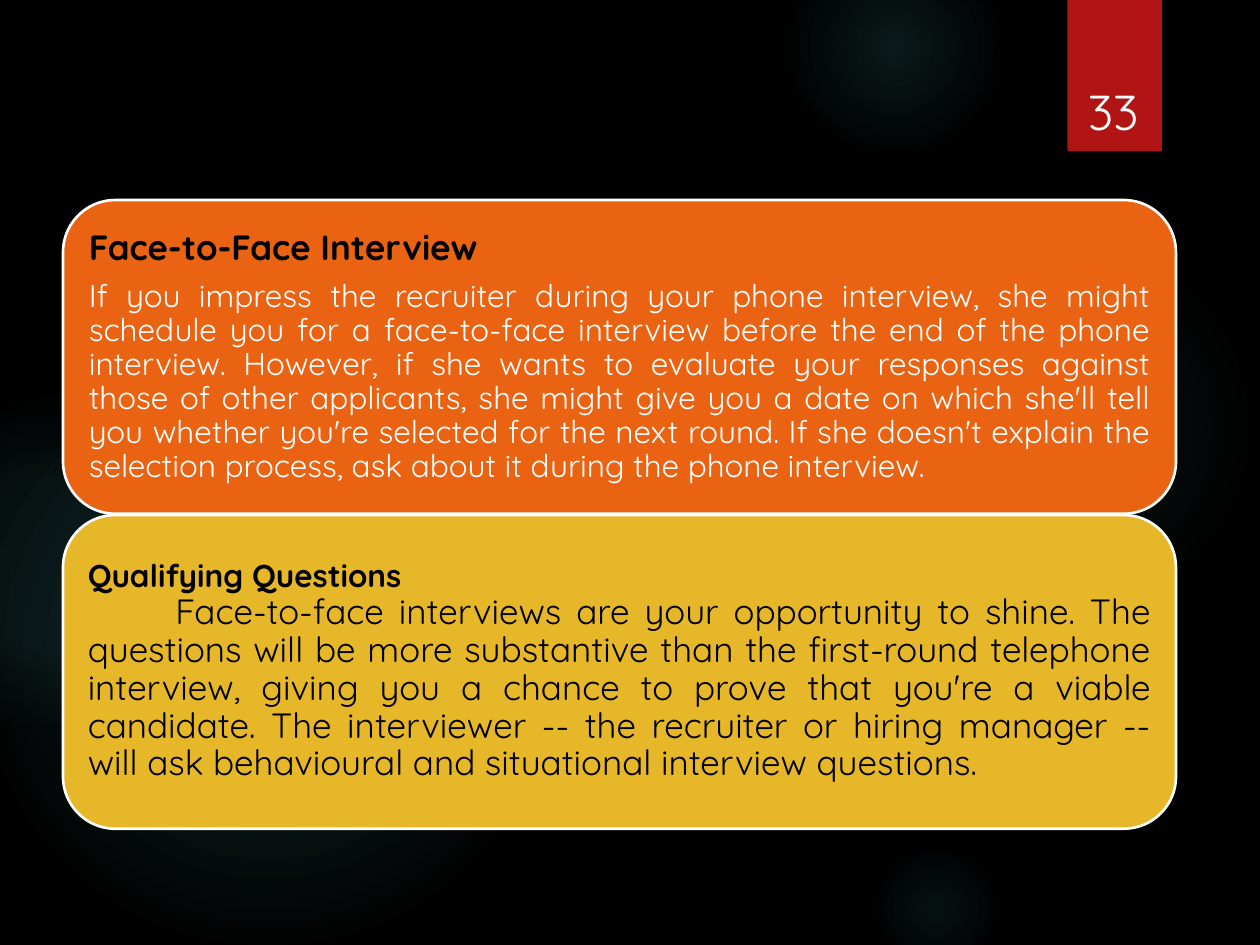
from lxml import etree
from pptx import Presentation
from pptx.dml.color import RGBColor
from pptx.enum.shapes import MSO_SHAPE
from pptx.enum.text import MSO_ANCHOR, PP_ALIGN
from pptx.oxml.ns import qn
from pptx.util import Pt

FONT = "Quicksand"
GLOW = "50B9C1"
GLOWS = [
    (496, 132, 222, [(0, 7), (36, 6), (69, 0)]),
    (448, -36, 126, [(0, 14), (36, 7), (73, 0)]),
    (496, 480, 78, [(0, 9), (36, 5), (66, 0)]),
    (-12, 210, 330, [(0, 11), (36, 10), (75, 0)]),
    (-66, 228, 186, [(0, 8), (36, 8), (72, 0)]),
]
FACE_TO_FACE = (
    "If you impress the recruiter during your phone interview, she might schedule you "
    "for a face-to-face interview before the end of the phone interview. However, if she "
    "wants to evaluate your responses against those of other applicants, she might give "
    "you a date on which she'll tell you whether you're selected for the next round. If "
    "she doesn't explain the selection process, ask about it during the phone interview."
)
QUALIFYING = (
    "Face-to-face interviews are your opportunity to shine. The questions will be more "
    "substantive than the first-round telephone interview, giving you a chance to prove "
    "that you're a viable candidate. The interviewer -- the recruiter or hiring manager -- "
    "will ask behavioural and situational interview questions."
)


def rgb(value):
    """Return the colour for a hex string."""
    return RGBColor.from_string(value)


def add_panel(slide, preset, left, top, width, height, fill=None, line=None):
    """Add a preset shape without a shadow."""
    panel = slide.shapes.add_shape(preset, Pt(left), Pt(top), Pt(width), Pt(height))
    panel.shadow.inherit = False
    if fill:
        panel.fill.solid()
        panel.fill.fore_color.rgb = rgb(fill)
    if line:
        panel.line.color.rgb = rgb(line)
        panel.line.width = Pt(1.5)
    else:
        panel.line.fill.background()
    return panel


def add_glow(slide, left, top, size, stops):
    """Add a circle that fades out from its centre."""
    glow = add_panel(slide, MSO_SHAPE.OVAL, left, top, size, size)
    gradient = etree.Element(qn("a:gradFill"), rotWithShape="1")
    stop_list = etree.SubElement(gradient, qn("a:gsLst"))
    for position, opacity in stops:
        stop = etree.SubElement(stop_list, qn("a:gs"), pos=str(position * 1000))
        colour = etree.SubElement(stop, qn("a:srgbClr"), val=GLOW)
        etree.SubElement(colour, qn("a:alpha"), val=str(opacity * 1000))
    radial = etree.SubElement(gradient, qn("a:path"), path="circle")
    centre = dict.fromkeys("ltrb", "50000")
    etree.SubElement(radial, qn("a:fillToRect"), **centre)
    glow._element.spPr.find(qn("a:prstGeom")).addnext(gradient)


def write(paragraph, text, size=18, color="FFFFFF", bold=False,
          align=PP_ALIGN.JUSTIFY, spacing=0.9, after=0, indent=0):
    """Fill a paragraph with formatted text."""
    if indent:
        paragraph._p.get_or_add_pPr().set("indent", str(Pt(indent)))
    paragraph.alignment = align
    paragraph.line_spacing = spacing
    paragraph.space_after = Pt(after)
    run = paragraph.add_run()
    run.text = text
    run.font.name = FONT
    run.font.size = Pt(size)
    run.font.bold = bold
    run.font.color.rgb = rgb(color)


def set_frame(frame, anchor, horizontal, vertical):
    """Set wrapping, anchor and margins of a text frame."""
    frame.word_wrap = True
    frame.vertical_anchor = anchor
    frame.margin_left = frame.margin_right = Pt(horizontal)
    frame.margin_top = frame.margin_bottom = Pt(vertical)


def add_card(slide, top, fill, margin, heading, body):
    """Add a rounded card with a heading and a body paragraph."""
    card = add_panel(slide, MSO_SHAPE.ROUNDED_RECTANGLE, 36, top, 636, 179.3, fill, "FFFFFF")
    frame = card.text_frame
    set_frame(frame, MSO_ANCHOR.MIDDLE, margin, margin)
    write(frame.paragraphs[0], color="000000", bold=True, align=PP_ALIGN.LEFT, **heading)
    write(frame.add_paragraph(), after=7, **body)


def add_page_number(slide, number):
    """Add the page number on its red ribbon."""
    add_panel(slide, MSO_SHAPE.RECTANGLE, 610, 0, 54, 86.4, "B01513")
    box = slide.shapes.add_textbox(Pt(611.3), Pt(23), Pt(49.7), Pt(60.5))
    set_frame(box.text_frame, MSO_ANCHOR.BOTTOM, 7.2, 3.6)
    write(box.text_frame.paragraphs[0], number, size=28, align=PP_ALIGN.CENTER, spacing=1)


def main():
    """Build and save the slide."""
    deck = Presentation()
    deck.slide_width, deck.slide_height = Pt(720), Pt(540)
    slide = deck.slides.add_slide(deck.slide_layouts[6])
    slide.background.fill.solid()
    slide.background.fill.fore_color.rgb = rgb("000000")
    for glow in GLOWS:
        add_glow(slide, *glow)
    add_page_number(slide, "33")
    cards = [
        ("EA6312", 6, {"text": "Face-to-Face Interview", "size": 20, "after": 7},
         {"text": FACE_TO_FACE}),
        ("E6B729", 5.4, {"text": "Qualifying Questions"},
         {"text": QUALIFYING, "size": 20, "color": "000000", "indent": 50}),
    ]
    for row, card in enumerate(cards):
        add_card(slide, 114.3 + 180 * row, *card)
    deck.save("out.pptx")


if __name__ == "__main__":
    main()
